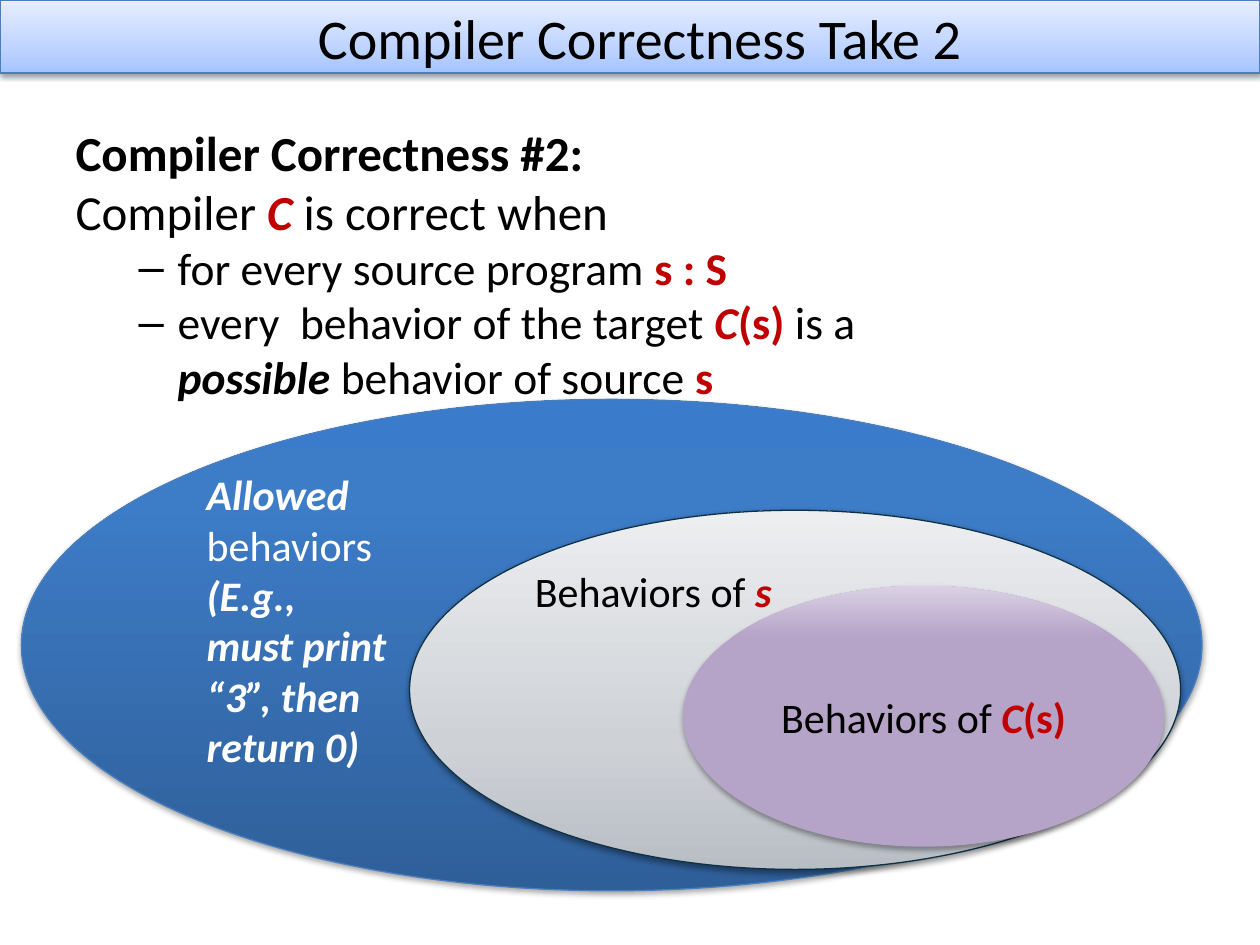
from lxml.etree import SubElement
from copy import deepcopy

from pptx import Presentation
from pptx.dml.color import RGBColor
from pptx.enum.shapes import MSO_SHAPE
from pptx.enum.text import MSO_ANCHOR, MSO_AUTO_SIZE, PP_ALIGN
from pptx.oxml.ns import qn
from pptx.util import Inches, Pt

BLACK = RGBColor(0, 0, 0)
WHITE = RGBColor(0xFF, 0xFF, 0xFF)
RED = RGBColor(0xC0, 0x00, 0x00)
BLUE_LINE = RGBColor(0x4B, 0x7E, 0xBC)
NAVY_LINE = RGBColor(0x0C, 0x30, 0x45)

# Gradients run from the bottom of a shape to its top.
BAR_STOPS = [(0, RGBColor(0xA4, 0xC4, 0xFF)), (0.35, RGBColor(0xBF, 0xD4, 0xFF)),
             (1, RGBColor(0xE6, 0xEE, 0xFF))]
BLUE_STOPS = [(0, RGBColor(0x2F, 0x5F, 0x99)), (0.8, RGBColor(0x3D, 0x7C, 0xC7)),
              (1, RGBColor(0x3A, 0x7C, 0xCB))]
GREY_STOPS = [(0, RGBColor(0xB9, 0xBE, 0xC5)), (0.35, RGBColor(0xCE, 0xD1, 0xD6)),
              (1, RGBColor(0xED, 0xEE, 0xF0))]
PURPLE_STOPS = [(0, RGBColor(0xB6, 0xA3, 0xC8)), (0.8, RGBColor(0xB6, 0xA3, 0xC8)),
                (1, RGBColor(0xDA, 0xD1, 0xE4))]

FORMATS = {
    "plain": {},
    "bold": {"bold": True},
    "stress": {"bold": True, "italic": True},
    "term": {"bold": True, "color": RED},
    "variable": {"bold": True, "italic": True, "color": RED},
}


class SlideBuilder:
    font_name = "Calibri"

    def __init__(self, slide):
        self.slide = slide

    def place(self, shape, box):
        for side, length in zip(("left", "top", "width", "height"), box):
            setattr(shape, side, Inches(length))

    def add_runs(self, paragraph, runs, size, color=BLACK):
        """Fill a paragraph with (text, format name) runs."""
        for text, format_name in runs:
            run = paragraph.add_run()
            run.text = text
            values = {"name": self.font_name, "size": Pt(size),
                      "bold": False, "italic": False, **FORMATS[format_name]}
            run.font.color.rgb = values.pop("color", color)
            for attribute, value in values.items():
                setattr(run.font, attribute, value)

    def title(self, text, box, size):
        title = self.slide.shapes.title
        self.place(title, box)
        frame = title.text_frame
        frame.auto_size = MSO_AUTO_SIZE.NONE
        frame.vertical_anchor = MSO_ANCHOR.MIDDLE
        frame.paragraphs[0].alignment = PP_ALIGN.CENTER
        self.add_runs(frame.paragraphs[0], [(text, "plain")], size)

    def body(self, items, box, sizes):
        """Fill the body placeholder with (level, runs) items."""
        body = self.slide.placeholders[1]
        self.place(body, box)
        frame = body.text_frame
        frame.auto_size = MSO_AUTO_SIZE.NONE
        for index, (level, runs) in enumerate(items):
            paragraph = frame.add_paragraph() if index else frame.paragraphs[0]
            paragraph.level = level
            properties = paragraph._p.get_or_add_pPr()
            margin, indent = ((0, 0), (0.81, -0.31))[level]
            properties.set("marL", str(Inches(margin)))
            properties.set("indent", str(Inches(indent)))
            if level:
                SubElement(properties, qn("a:buChar")).set("char", "–")
            else:
                SubElement(properties, qn("a:buNone"))
            paragraph.space_before = Pt(0)
            self.add_runs(paragraph, runs, sizes[level])

    def gradient(self, shape, stops):
        shape.fill.gradient()
        shape.fill.gradient_angle = 90
        stop_list = shape._element.spPr.find(qn("a:gradFill")).find(qn("a:gsLst"))
        stop_list.append(deepcopy(stop_list[-1]))
        for stop, (position, color) in zip(shape.fill.gradient_stops, stops):
            stop.position = position
            stop.color.rgb = color

    def shadow(self, shape, opacity, distance):
        shape.shadow.inherit = False
        effects = shape._element.spPr.find(qn("a:effectLst"))
        outer = SubElement(effects, qn("a:outerShdw"), blurRad=str(Pt(3.1)),
                           dist=str(Pt(distance)), dir="5400000", rotWithShape="0")
        color = SubElement(outer, qn("a:srgbClr"), val="000000")
        SubElement(color, qn("a:alpha"), val=str(opacity * 1000))

    def shape(self, kind, box, stops, line=None, shadow=(38, 1.6), behind=False):
        shape = self.slide.shapes.add_shape(kind, *map(Inches, box))
        self.gradient(shape, stops)
        self.shadow(shape, *shadow)
        if line is None:
            shape.line.fill.background()
        else:
            shape.line.color.rgb = line
            shape.line.width = Pt(0.75)
        if behind:
            self.slide.shapes._spTree.insert(2, shape._element)
        return shape

    def label(self, shape, lines, color=BLACK, align=PP_ALIGN.LEFT, **frame_values):
        frame = shape.text_frame
        frame.word_wrap = True
        for attribute, value in frame_values.items():
            setattr(frame, attribute, value)
        for index, runs in enumerate(lines):
            paragraph = frame.add_paragraph() if index else frame.paragraphs[0]
            paragraph.alignment = align
            self.add_runs(paragraph, runs, 24, color)


def main():
    deck = Presentation()
    deck.slide_width, deck.slide_height = Inches(10), Inches(7.5)
    builder = SlideBuilder(deck.slides.add_slide(deck.slide_layouts[1]))

    allowed = builder.shape(MSO_SHAPE.OVAL, (0.17, 3.17, 9.37, 3.9), BLUE_STOPS,
                            BLUE_LINE, shadow=(35, 1.8), behind=True)
    builder.label(allowed, [
        [("Allowed", "stress")],
        [("behaviors", "plain")],
        [("(E.g.,", "stress")],
        [("must print", "stress")],
        [("“3”, then", "stress")],
        [("return 0)", "stress")],
    ], WHITE, vertical_anchor=MSO_ANCHOR.MIDDLE, margin_bottom=Inches(0.45))
    builder.shape(MSO_SHAPE.RECTANGLE, (0, 0, 10, 0.58), BAR_STOPS, BLUE_LINE, behind=True)

    builder.title("Compiler Correctness Take 2", (0.58, -0.06, 9, 0.71), 32)
    builder.body([
        (0, [("Compiler Correctness #2:", "bold")]),
        (0, [("Compiler", "plain"), (" C ", "variable"), ("is correct when", "plain")]),
        (1, [("for every source program ", "plain"), ("s : S", "term")]),
        (1, [("every  behavior of the target ", "plain"), ("C", "variable"),
             ("(s) ", "term"), ("is a ", "plain"), ("possible", "stress"),
             (" behavior of source ", "plain"), ("s", "term")]),
    ], (0.5, 0.92, 6.42, 2.25), sizes=(28, 26))

    source = builder.shape(MSO_SHAPE.OVAL, (3.25, 4.05, 6.12, 2.85), GREY_STOPS, NAVY_LINE)
    builder.label(source, [[("Behaviors of ", "plain"), ("s", "variable")]],
                  vertical_anchor=MSO_ANCHOR.TOP, margin_top=Inches(0.02))

    target = builder.shape(MSO_SHAPE.OVAL, (5.42, 4.65, 3.82, 2.07), PURPLE_STOPS,
                           shadow=(35, 1.8))
    builder.label(target, [[("Behaviors of ", "plain"), ("C", "variable"), ("(s)", "term")]],
                  align=PP_ALIGN.CENTER, vertical_anchor=MSO_ANCHOR.MIDDLE)

    deck.save("out.pptx")


if __name__ == "__main__":
    main()
